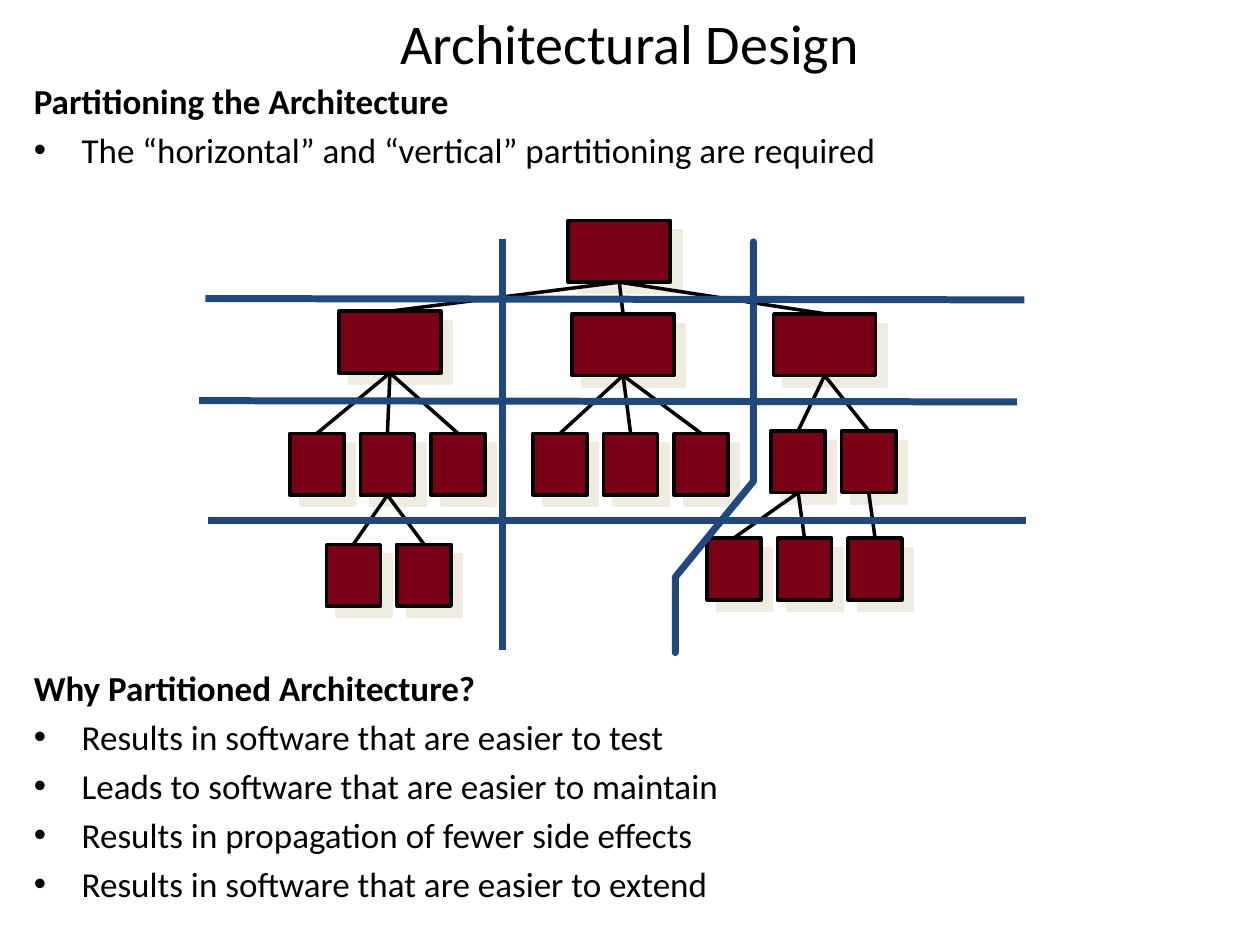
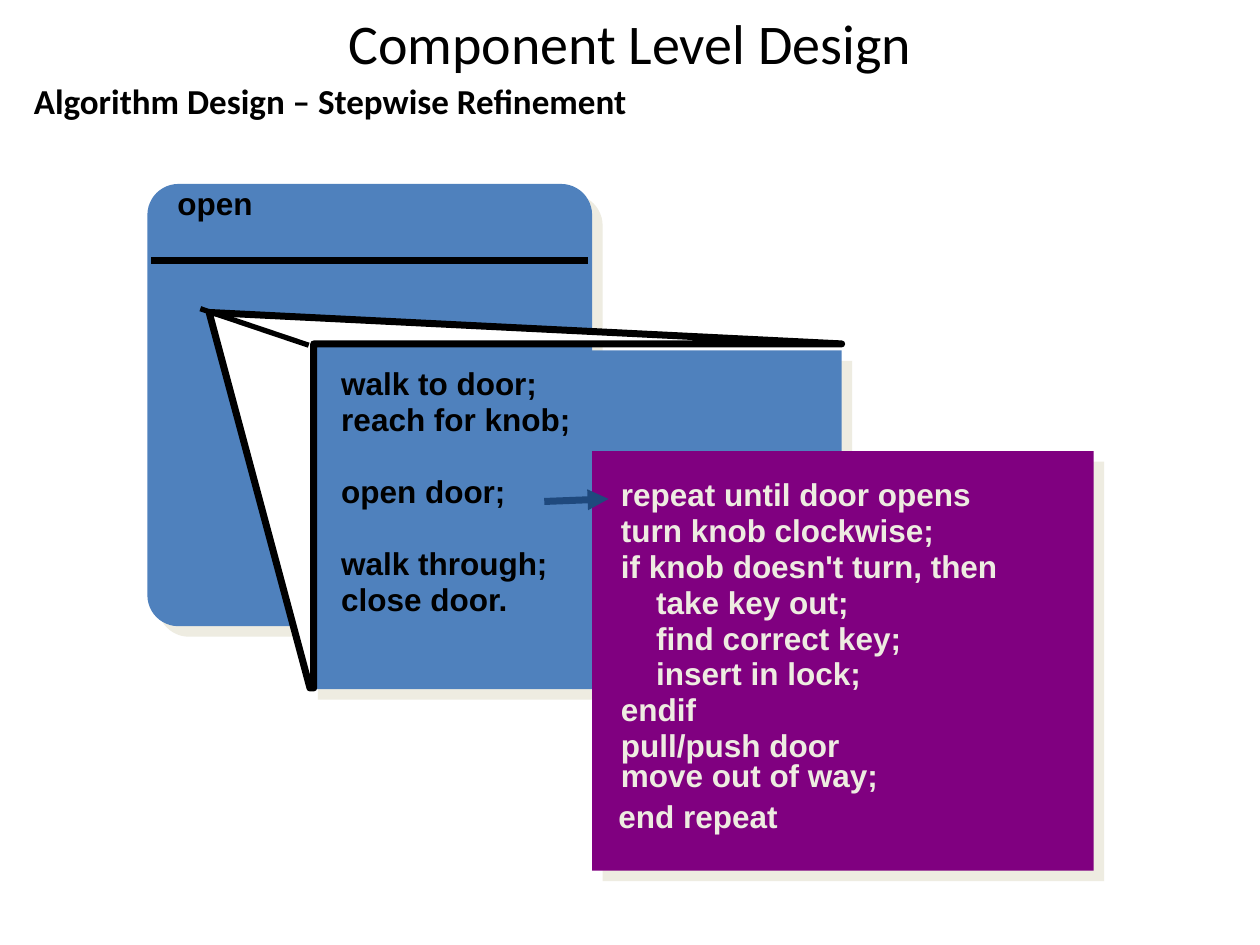
"""Build two slides on architectural and component level design."""
from lxml import etree
from pptx import Presentation
from pptx.dml.color import RGBColor
from pptx.enum.shapes import MSO_CONNECTOR, MSO_SHAPE
from pptx.enum.text import MSO_ANCHOR, MSO_AUTO_SIZE, PP_ALIGN
from pptx.oxml.ns import qn
from pptx.util import Inches, Pt

RECTANGLE = MSO_SHAPE.RECTANGLE
ROUNDED = MSO_SHAPE.ROUNDED_RECTANGLE
STRAIGHT = MSO_CONNECTOR.STRAIGHT
MIDDLE, TOP = MSO_ANCHOR.MIDDLE, MSO_ANCHOR.TOP
CENTER, LEFT = PP_ALIGN.CENTER, PP_ALIGN.LEFT
FIT_TEXT, FIXED = MSO_AUTO_SIZE.SHAPE_TO_FIT_TEXT, MSO_AUTO_SIZE.NONE

BLACK, WHITE, CREAM = "000000", "FFFFFF", "EEECE1"
MAROON, NAVY, BLUE, PURPLE = "790015", "1F497D", "4F81BD", "800080"

TITLE_FONT = {"name": "Calibri", "size": Pt(32), "bold": False}
HEADING_FONT = {"name": "Calibri", "size": Pt(20), "bold": True}
BULLET_FONT = {"name": "Calibri", "size": Pt(20), "bold": False}
CODE_FONT = {"name": "Arial", "size": Pt(18), "bold": True}

HANGING = 0.38
CODE_INDENT = 0.28
CODE_PITCH = 0.285
SIBLING_PITCH = 0.56
LARGE_WIDTH, SMALL_WIDTH, MODULE_HEIGHT = 0.81, 0.43, 0.49


def colour(value):
    """Turn a hex string into a colour."""
    return RGBColor.from_string(value)


class Deck:
    """Hold the shared style and the slide being drawn."""

    def __init__(self):
        """Start an empty 10 by 7.5 inch deck."""
        self.deck = Presentation()
        self.deck.slide_width, self.deck.slide_height = Inches(10), Inches(7.5)
        self.page = None

    def slide(self, title):
        """Add a blank slide with the shared title."""
        self.page = self.deck.slides.add_slide(self.deck.slide_layouts[6])
        box = self.text_box(0.5, 0, 9, 0.67, anchor=MIDDLE)
        self.add_text(box.text_frame.paragraphs[0], title, TITLE_FONT, alignment=CENTER)

    def text_box(self, left, top, width, height, anchor=TOP, wrap=True, fit=FIXED):
        """Add an empty text box."""
        box = self.page.shapes.add_textbox(*map(Inches, (left, top, width, height)))
        formats = {"word_wrap": wrap, "vertical_anchor": anchor, "auto_size": fit}
        for name, value in formats.items():
            setattr(box.text_frame, name, value)
        return box

    def add_text(self, para, text, font, color=BLACK, **formats):
        """Put formatted text into a paragraph."""
        span = para.add_run()
        span.text = text
        for name, value in font.items():
            setattr(span.font, name, value)
        span.font.color.rgb = colour(color)
        for name, value in formats.items():
            setattr(para, name, value)

    def section(self, top, height, heading, bullets=()):
        """Add a bold heading followed by bulleted lines."""
        frame = self.text_box(0.17, top, 9.67, height).text_frame
        for index, text in enumerate([heading, *bullets]):
            para = frame.add_paragraph() if index else frame.paragraphs[0]
            font = BULLET_FONT if index else HEADING_FONT
            self.add_text(para, text, font, space_before=Pt(4), alignment=LEFT)
            properties = para._p.get_or_add_pPr()
            properties.set("marL", str(Inches(HANGING)))
            properties.set("indent", str(-Inches(HANGING)))
            if index:
                etree.SubElement(properties, qn("a:buFont"), typeface="Arial")
                etree.SubElement(properties, qn("a:buChar"), char="•")

    def code(self, left, top, width, lines, color=BLACK, height=0.79, indent=0, **formats):
        """Add a box of bold code lines that does not wrap."""
        frame = self.text_box(left, top, width, height, wrap=False, fit=FIT_TEXT).text_frame
        for index, text in enumerate(lines):
            para = frame.add_paragraph() if index else frame.paragraphs[0]
            self.add_text(para, text, CODE_FONT, color, **formats)
            if indent:
                para._p.get_or_add_pPr().set("marL", str(Inches(indent)))

    def panel(self, left, top, width, height, fill, kind=RECTANGLE, outline=None):
        """Add a filled shape with the cream drop shadow."""
        box = self.page.shapes.add_shape(kind, *map(Inches, (left, top, width, height)))
        box.fill.solid()
        box.fill.fore_color.rgb = colour(fill)
        if outline:
            self.stroke(box, BLACK, outline)
        else:
            box.line.fill.background()
        box.shadow.inherit = False
        effects = box._element.spPr.find(qn("a:effectLst"))
        shadow = etree.SubElement(effects, qn("a:outerShdw"), dist=str(Pt(8.5)),
                                  dir="2700000", algn="ctr", rotWithShape="0")
        etree.SubElement(shadow, qn("a:srgbClr"), val=CREAM)
        return box

    def stroke(self, item, color, width):
        """Set the colour and width of an outline."""
        item.line.color.rgb = colour(color)
        item.line.width = Pt(width)

    def line(self, start=(0, 0), end=(0, 0), color=BLACK, width=2, arrow=False):
        """Add a straight line, with an arrowhead on request."""
        line = self.page.shapes.add_connector(STRAIGHT, *map(Inches, (*start, *end)))
        self.stroke(line, color, width)
        properties = line._element.spPr
        if arrow:
            etree.SubElement(properties.find(qn("a:ln")), qn("a:tailEnd"), type="triangle")
        etree.SubElement(properties, qn("a:effectLst"))
        return line

    def outline(self, points, color, fill=None):
        """Add a freeform, closed and filled if a fill is given."""
        start, *rest = [tuple(map(Inches, point)) for point in points]
        builder = self.page.shapes.build_freeform(*start)
        builder.add_line_segments(rest, close=bool(fill))
        shape = builder.convert_to_shape()
        if fill:
            shape.fill.solid()
            shape.fill.fore_color.rgb = colour(fill)
        else:
            shape.fill.background()
        self.stroke(shape, color, 4)
        stroke = shape._element.spPr.find(qn("a:ln"))
        stroke.set("cap", "rnd")
        etree.SubElement(stroke, qn("a:round"))
        shape.shadow.inherit = False

    def module(self, node, depth=0):
        """Draw a module, its submodules and the lines that join them."""
        left, top, children = node
        width = LARGE_WIDTH if depth < 2 else SMALL_WIDTH
        box = self.panel(left, top, width, MODULE_HEIGHT, MAROON, outline=2)
        for child in children:
            submodule = self.module(child, depth + 1)
            branch = self.line()
            branch.begin_connect(box, 2)
            branch.end_connect(submodule, 0)
        return box


def siblings(left, top, *families):
    """Place small modules side by side, one for each list of children."""
    return [(left + index * SIBLING_PITCH, top, children)
            for index, children in enumerate(families)]


def architecture(deck):
    """Draw the partitioned architecture slide."""
    deck.slide("Architectural Design")
    deck.section(0.58, 0.9, "Partitioning the Architecture",
                 ["The “horizontal” and “vertical” partitioning are required"])
    deck.section(5.24, 2.09, "Why Partitioned Architecture?", [
        "Results in software that are easier to test",
        "Leads to software that are easier to maintain",
        "Results in propagation of fewer side effects",
        "Results in software that are easier to extend",
    ])
    left_leaves = siblings(2.59, 4.32, [], [])
    right_leaves = siblings(5.61, 4.27, [], [], [])
    deck.module((4.51, 1.75, [
        (2.69, 2.47, siblings(2.3, 3.44, [], left_leaves, [])),
        (4.54, 2.49, siblings(4.23, 3.44, [], [], [])),
        (6.14, 2.49, siblings(6.12, 3.42, right_leaves[:2], right_leaves[2:])),
    ]))
    dividers = [((1.58, 3.18), (8.07, 3.19)), ((1.65, 4.13), (8.14, 4.13)),
                ((3.99, 1.9), (3.99, 5.16)), ((1.63, 2.37), (8.13, 2.38))]
    for start, end in dividers:
        deck.line(start, end, NAVY, 4)
    deck.outline([(5.98, 1.92), (5.98, 3.82), (5.36, 4.58), (5.36, 5.18)], NAVY)


def refinement(deck):
    """Draw the stepwise refinement slide."""
    deck.slide("Component Level Design")
    deck.section(0.58, 0.5, "Algorithm Design – Stepwise Refinement")

    open_panel = deck.panel(1.17, 1.46, 3.53, 3.51, BLUE, ROUNDED)
    open_panel.adjustments[0] = 0.07
    deck.line((1.2, 2.07), (4.67, 2.07), width=4)
    deck.code(1.31, 1.41, 1.14, ["open"], height=0.56)

    deck.panel(2.44, 2.78, 4.24, 2.69, BLUE)
    steps = [(0, 2.01, "walk to door;"), (1, 2.31, "reach for knob;"),
             (3, 1.72, "open door;"), (5, 2.11, "walk through;"),
             (6, 1.76, "close door.")]
    for row, width, text in steps:
        deck.code(2.61, 2.84 + row * CODE_PITCH, width, [text])

    deck.panel(4.7, 3.58, 3.98, 3.33, PURPLE)
    details = [(3.41, 0, "repeat until door opens"), (3.08, 0, "turn knob clockwise;"),
               (3.65, 0, "if knob doesn't turn, then"),
               (2.3, CODE_INDENT, "take key out;"),
               (2.77, CODE_INDENT, "find correct key;"),
               (2.41, CODE_INDENT, "insert in lock;"), (0.91, 0, "endif")]
    for row, (width, indent, text) in enumerate(details):
        deck.code(4.83, 3.72 + row * CODE_PITCH, width, [text], CREAM, indent=indent)
    deck.code(4.83, 5.77, 2.57, ["pull/push door", "move out of way;"], CREAM,
              height=1, line_spacing=0.8)
    deck.code(4.81, 6.28, 1.68, ["end repeat"], CREAM, height=0.45)

    deck.outline([(2.46, 5.46), (1.66, 2.48), (6.68, 2.73), (2.49, 2.73), (2.49, 5.46)],
                 BLACK, WHITE)
    deck.line((4.32, 3.98), (4.83, 3.96), NAVY, 4, arrow=True)
    deck.line((1.59, 2.45), (2.45, 2.74), width=3)


def main():
    """Build both slides and save the deck."""
    deck = Deck()
    architecture(deck)
    refinement(deck)
    deck.deck.save("out.pptx")


if __name__ == "__main__":
    main()
